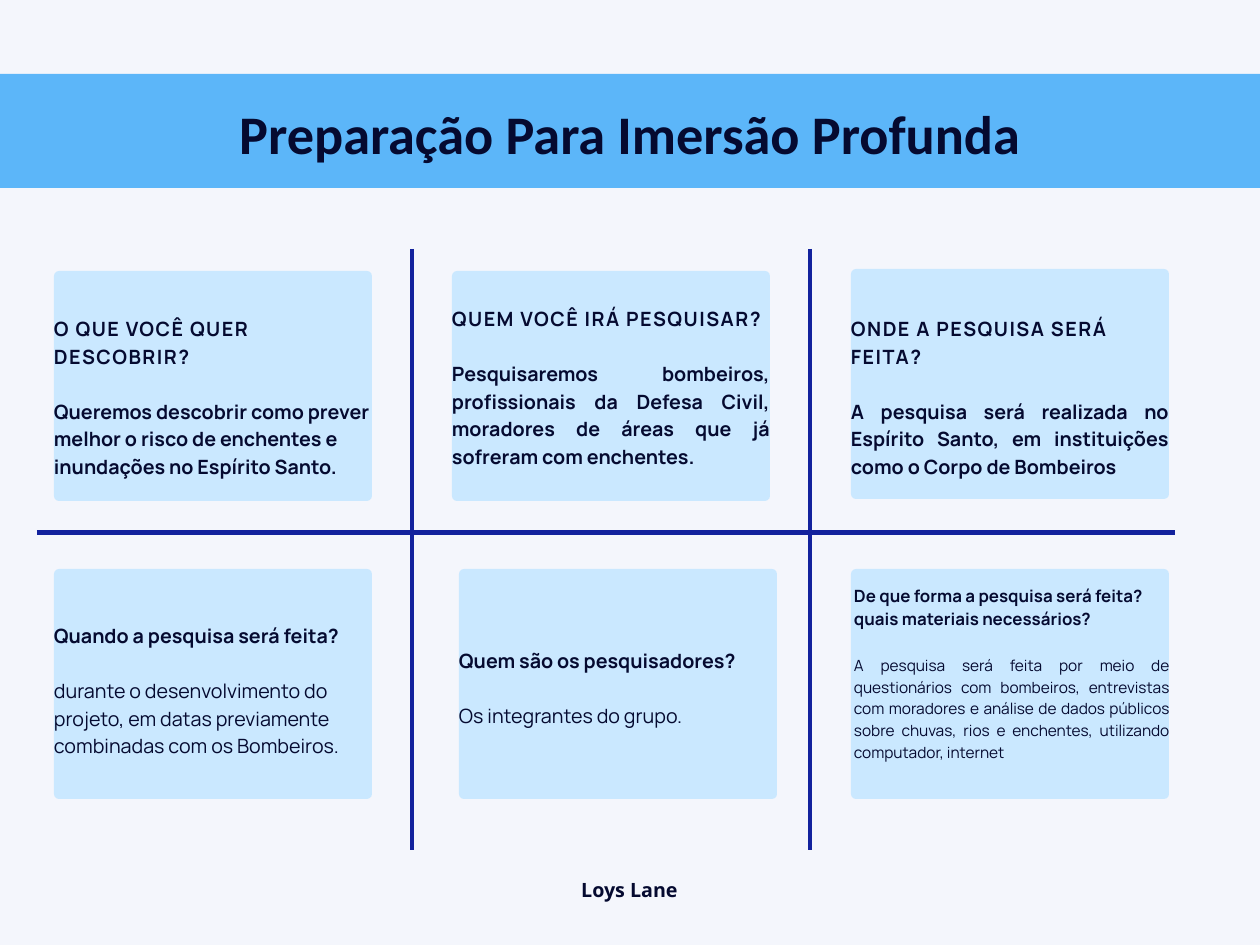
import dataclasses
import typing

import pptx
import pptx.dml.color
import pptx.enum.shapes
import pptx.enum.text
import pptx.oxml.ns
import pptx.util
import lxml.etree

PX = 9753600 / 1260
WIDE, HIGH = 1260, 945
INK = {"back": "F4F6FC", "band": "5CB6F9", "card": "CAE8FF", "rule": "12229D", "text": "050A30"}
ALIGN = pptx.enum.text.PP_ALIGN
SHAPE = pptx.enum.shapes.MSO_SHAPE
CARD_W, CARD_H, ROUND = 318, 230, 5


@dataclasses.dataclass
class Card:
    left: int
    top: int
    text_x: int
    text_y: int
    head: str
    body: str
    bold: bool = False
    align: typing.Any = ALIGN.LEFT
    sizes: tuple = (12, 12)
    leads: tuple = (16.8, 16.8)


@dataclasses.dataclass
class Rule:
    x1: int
    y1: int
    x2: int
    y2: int


CARDS = [
    Card(54, 271, 54, 313, "O QUE VOCÊ QUER DESCOBRIR?",
         "Queremos descobrir como prever melhor o risco de enchentes e inundações no Espírito Santo.",
         bold=True),
    Card(452, 271, 452, 303, "QUEM VOCÊ IRÁ PESQUISAR?",
         "Pesquisaremos bombeiros, profissionais da Defesa Civil, moradores de áreas que já "
         "sofreram com enchentes.", bold=True, align=ALIGN.JUSTIFY),
    Card(851, 269, 851, 313, "ONDE A PESQUISA SERÁ FEITA?",
         "A pesquisa será realizada no Espírito Santo, em instituições como o Corpo de Bombeiros",
         bold=True, align=ALIGN.JUSTIFY),
    Card(54, 569, 54, 620, "Quando a pesquisa será feita?",
         "durante o desenvolvimento do projeto, em datas previamente combinadas com os Bombeiros."),
    Card(459, 569, 459, 645, "Quem são os pesquisadores?", "Os integrantes do grupo."),
    Card(851, 569, 854, 582, "De que forma a pesquisa será feita? quais materiais necessários?",
         "A pesquisa será feita por meio de questionários com bombeiros, entrevistas com moradores "
         "e análise de dados públicos sobre chuvas, rios e enchentes, utilizando computador, internet",
         align=ALIGN.JUSTIFY, sizes=(10.3, 9.4), leads=(14.4, 13.2)),
]
RULES = [Rule(810, 249, 810, 850), Rule(412, 249, 412, 850), Rule(37, 533, 1175, 533)]


def emu(size: float) -> int:
    return round(size * PX)


def tint(name: str) -> pptx.dml.color.RGBColor:
    return pptx.dml.color.RGBColor.from_string(INK[name])


def write(frame: typing.Any, text: str, *, size: float, lead: float, font: str = "Manrope",
          bold: bool = True, align: typing.Any = ALIGN.LEFT, gap: float = 0, track: int = 0) -> None:
    para = frame.add_paragraph() if frame.text else frame.paragraphs[0]
    para.alignment = align
    para.line_spacing = pptx.util.Pt(lead)
    para.space_before = pptx.util.Pt(gap)
    run = para.add_run()
    run.text = text
    run.font.size = pptx.util.Pt(size)
    run.font.name = font
    run.font.bold = bold
    run.font.color.rgb = tint("text")
    if track:
        run._r.get_or_add_rPr().set("spc", str(track))


def clear(frame: typing.Any, wrap: bool = True) -> typing.Any:
    frame.margin_left = frame.margin_right = frame.margin_top = frame.margin_bottom = 0
    frame.auto_size = pptx.enum.text.MSO_AUTO_SIZE.NONE
    frame.vertical_anchor = pptx.enum.text.MSO_ANCHOR.TOP
    frame.word_wrap = wrap
    return frame


def box(slide: typing.Any, x: int, y: int, w: int, h: int, wrap: bool = True) -> typing.Any:
    return clear(slide.shapes.add_textbox(emu(x), emu(y), emu(w), emu(h)).text_frame, wrap)


def block(slide: typing.Any, kind: typing.Any, x: int, y: int, w: int, h: int, name: str) -> typing.Any:
    shape = slide.shapes.add_shape(kind, emu(x), emu(y), emu(w), emu(h))
    shape.shadow.inherit = False
    shape.fill.solid()
    shape.fill.fore_color.rgb = tint(name)
    shape.line.fill.background()
    return shape


def draw_title(slide: typing.Any) -> None:
    band = block(slide, SHAPE.RECTANGLE, 0, 74, WIDE, 114, "band")
    title = slide.shapes.title
    title.element.addprevious(band.element)
    title.left, title.top, title.width, title.height = emu(61), emu(89), emu(1138), emu(74)
    write(clear(title.text_frame), "Preparação Para Imersão Profunda",
          size=33.1, lead=46.4, font="Calibri", align=ALIGN.CENTER)


def draw_rule(slide: typing.Any, rule: Rule) -> None:
    line = slide.shapes.add_connector(pptx.enum.shapes.MSO_CONNECTOR.STRAIGHT,
                                      emu(rule.x1), emu(rule.y1), emu(rule.x2), emu(rule.y2))
    line.line.color.rgb = tint("rule")
    line.line.width = pptx.util.Pt(3)
    props = line.element.find(pptx.oxml.ns.qn("p:spPr"))
    lxml.etree.SubElement(props, pptx.oxml.ns.qn("a:effectLst"))


def draw_card(slide: typing.Any, card: Card) -> None:
    shape = block(slide, SHAPE.ROUNDED_RECTANGLE, card.left, card.top, CARD_W, CARD_H, "card")
    shape.adjustments[0] = ROUND / CARD_H
    right = card.left + CARD_W
    low = card.top + CARD_H
    frame = box(slide, card.text_x, card.text_y, right - card.text_x, low - card.text_y)
    write(frame, card.head, size=card.sizes[0], lead=card.leads[0],
          track=90 if card.head.isupper() else 0)
    write(frame, card.body, size=card.sizes[1], lead=card.leads[1], bold=card.bold,
          align=card.align, gap=card.leads[0])


def main() -> None:
    deck = pptx.Presentation()
    deck.slide_width, deck.slide_height = emu(WIDE), emu(HIGH)
    slide = deck.slides.add_slide(deck.slide_layouts[5])
    slide.background.fill.solid()
    slide.background.fill.fore_color.rgb = tint("back")
    draw_title(slide)
    for rule in RULES:
        draw_rule(slide, rule)
    for card in CARDS:
        draw_card(slide, card)
    write(box(slide, 581, 874, 97, 26, wrap=False), "Loys Lane",
          size=12, lead=16.8, font="Open Sans", align=ALIGN.CENTER)
    deck.save("out.pptx")


if __name__ == "__main__":
    main()
